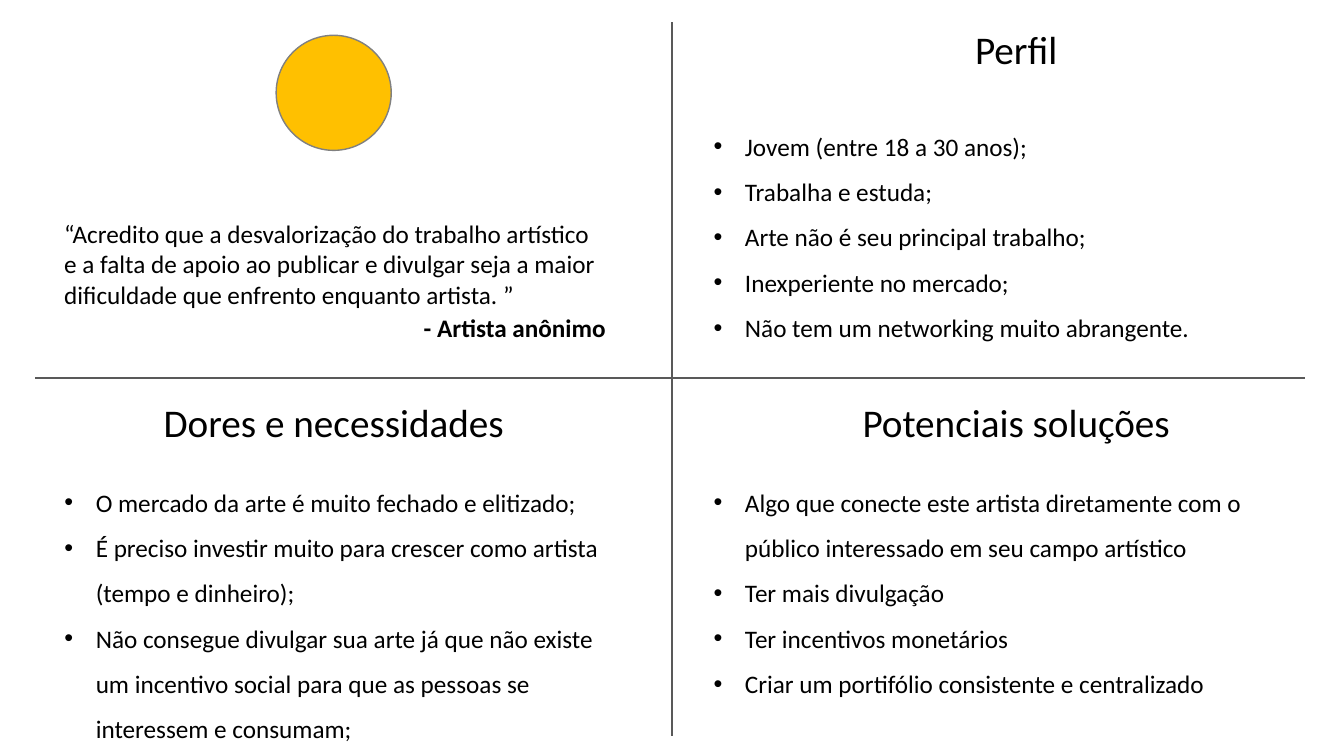
from dataclasses import dataclass
from lxml.etree import SubElement
from pptx import Presentation
from pptx.dml.color import RGBColor as Rgb
from pptx.enum.shapes import MSO_CONNECTOR as Link, MSO_SHAPE as Form
from pptx.enum.text import MSO_ANCHOR as Anchor, MSO_AUTO_SIZE as Fit, PP_ALIGN as Align
from pptx.oxml.ns import qn
from pptx.util import Cm, Pt


@dataclass(frozen=True)
class Theme:
    font: str = "Calibri"
    ink: Rgb = Rgb(0, 0, 0)
    rule: Rgb = Rgb(0x59, 0x59, 0x59)
    face: Rgb = Rgb(0xFF, 0xC0, 0x00)
    edge: Rgb = Rgb(0x80, 0x80, 0x80)
    head: int = 28
    body: int = 18


@dataclass(frozen=True)
class Box:
    left: float
    top: float
    width: float
    height: float


@dataclass(frozen=True)
class Column:
    left: float
    mid: float


@dataclass(frozen=True)
class Panel:
    title: str
    col: Column
    top: float
    gap: float
    height: float
    items: tuple[str, ...]


theme = Theme()
WEST, EAST = Column(1.37, 8.41), Column(17.73, 25.61)
WIDTH, INDENT = 14.35, 0.79

PANELS = (
    Panel("Perfil", EAST, 0.51, 2.28, 5.92, (
        "Jovem (entre 18 a 30 anos);",
        "Trabalha e estuda;",
        "Arte não é seu principal trabalho;",
        "Inexperiente no mercado;",
        "Não tem um networking muito abrangente.")),
    Panel("Dores e necessidades", WEST, 9.91, 1.85, 7.06, (
        "O mercado da arte é muito fechado e elitizado;",
        "É preciso investir muito para crescer como artista (tempo e dinheiro);",
        "Não consegue divulgar sua arte já que não existe um incentivo social "
        "para que as pessoas se interessem e consumam;")),
    Panel("Potenciais soluções", EAST, 9.91, 1.85, 5.92, (
        "Algo que conecte este artista diretamente com o público interessado "
        "em seu campo artístico",
        "Ter mais divulgação",
        "Ter incentivos monetários",
        "Criar um portifólio consistente e centralizado")),
)
QUOTE = ("“Acredito que a desvalorização do trabalho artístico\v"
         "e a falta de apoio ao publicar e divulgar seja a maior\v"
         "dificuldade que enfrento enquanto artista. ”")

deck = Presentation()
deck.slide_width, deck.slide_height = Cm(33.87), Cm(19.05)
slide = deck.slides.add_slide(deck.slide_layouts[4])
shapes = slide.shapes


def new_box():
    return shapes.add_textbox(0, 0, 0, 0)


def write(shape, box: Box, text: str, size: int, align=Align.LEFT,
          bold: bool = False, wrap: bool = True) -> None:
    """Place a text shape and format all its runs."""
    shape.left, shape.top = Cm(box.left), Cm(box.top)
    shape.width, shape.height = Cm(box.width), Cm(box.height)
    frame = shape.text_frame
    frame.text = text
    frame.word_wrap, frame.auto_size = wrap, Fit.NONE
    frame.vertical_anchor = Anchor.TOP
    for para in frame.paragraphs:
        para.alignment = align
        para.space_before = Pt(0)
        for run in para.runs:
            font = run.font
            font.name, font.size, font.bold = theme.font, Pt(size), bold
            font.color.rgb = theme.ink


def bullet(shape) -> None:
    """Give each paragraph a hanging dot and open line spacing."""
    for para in shape.text_frame.paragraphs:
        para.line_spacing = 1.5
        props = para._p.get_or_add_pPr()
        props.set("marL", str(Cm(INDENT)))
        props.set("indent", str(-Cm(INDENT)))
        SubElement(props, qn("a:buFont")).set("typeface", "Arial")
        SubElement(props, qn("a:buChar")).set("char", "•")


def rule(x1: float, y1: float, x2: float, y2: float) -> None:
    line = shapes.add_connector(Link.STRAIGHT, Cm(x1), Cm(y1), Cm(x2), Cm(y2))
    line.line.color.rgb, line.line.width = theme.rule, Pt(1.5)
    SubElement(line._element.spPr, qn("a:effectLst"))


def draw(panel: Panel, head, body) -> None:
    """Fill one quadrant with its heading and list."""
    span = 10
    write(head, Box(panel.col.mid - span / 2, panel.top, span, 1.45),
          panel.title, theme.head, Align.CENTER)
    write(body, Box(panel.col.left, panel.top + panel.gap, WIDTH, panel.height),
          "\n".join(panel.items), theme.body)
    bullet(body)


# Cross that splits the slide in four
rule(16.94, 0.56, 16.94, 18.54)
rule(0.89, 9.53, 32.89, 9.53)

# Portrait disc
size = 2.9
disc = shapes.add_shape(Form.OVAL, Cm(WEST.mid - size / 2), Cm(0.89), Cm(size), Cm(size))
disc.shadow.inherit = False
disc.fill.solid()
disc.fill.fore_color.rgb = theme.face
disc.line.color.rgb, disc.line.width = theme.edge, Pt(1)

# Quote and its author
slots = {slot.placeholder_format.idx: slot for slot in slide.placeholders}
write(new_box(), Box(WEST.left, 5.38, 14.05, 2.57), QUOTE, theme.body, wrap=False)
write(slots[3], Box(8, 7.75, 7.52, 1.02), "- Artista anônimo", theme.body,
      Align.RIGHT, bold=True)

# Three quadrants with heading and list
heads = (shapes.title, new_box(), new_box())
lists = (slots[1], slots[2], slots[4])
for panel, head, body in zip(PANELS, heads, lists):
    draw(panel, head, body)

deck.save("out.pptx")
